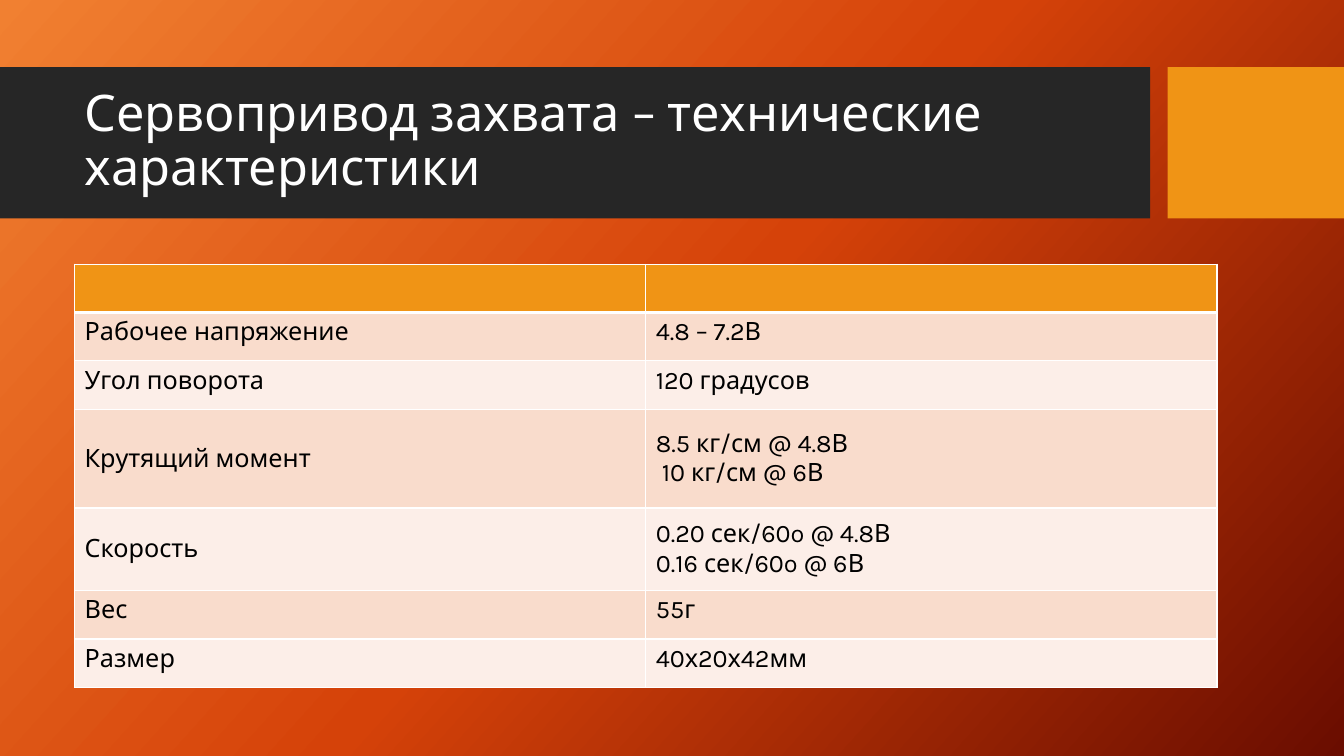
import copy
from dataclasses import dataclass

import lxml.etree
import pptx
import pptx.dml.color
import pptx.enum.shapes
import pptx.enum.text
import pptx.oxml.ns
import pptx.util

COLS, ROWS = 160, 90
FONT = "Karla"
COLORS = {
    "glow": "F18031", "flame": "D54209", "ember": "6A0D00",
    "dark": "262626", "accent": "F09415", "white": "FFFFFF", "black": "000000",
    "odd": "F9DCCC", "even": "FCEEE8",
}
MIDDLE = pptx.enum.text.MSO_ANCHOR.MIDDLE
TOP = pptx.enum.text.MSO_ANCHOR.TOP


@dataclass(frozen=True)
class Box:
    col: float
    row: float
    cols: float
    rows: float


@dataclass(frozen=True)
class Panel:
    box: Box
    color: str


@dataclass(frozen=True)
class Spec:
    cells: tuple[str, str]
    rows: float = 5.76
    anchor: pptx.enum.text.MSO_ANCHOR = TOP


PANELS = [
    Panel(Box(0, 8, 136.92, 18), "dark"),
    Panel(Box(139, 8, 21, 18), "accent"),
]
TITLE = "Сервопривод захвата – технические характеристики"
TITLE_BOX = Box(8.88, 9.84, 126.12, 14.16)
TABLE_BOX = Box(8.88, 31.44, 136, 50.4)
SPECS = [
    Spec(("", "")),
    Spec(("Рабочее напряжение", "4.8 – 7.2В")),
    Spec(("Угол поворота", "120 градусов")),
    Spec(("Крутящий момент", "8.5 кг/см @ 4.8В\n 10 кг/см @ 6В"), 11.76, MIDDLE),
    Spec(("Скорость", "0.20 сек/60º @ 4.8В\n0.16 сек/60º @ 6В"), 9.84, MIDDLE),
    Spec(("Вес", "55г")),
    Spec(("Размер", "40х20х42мм")),
]

prs = pptx.Presentation()
prs.slide_width = pptx.util.Inches(13.33)
prs.slide_height = pptx.util.Inches(7.5)


def rgb(name: str) -> pptx.dml.color.RGBColor:
    return pptx.dml.color.RGBColor.from_string(COLORS[name])


def across(cols: float) -> int:
    return round(prs.slide_width * cols / COLS)


def down(rows: float) -> int:
    return round(prs.slide_height * rows / ROWS)


def place(box: Box) -> tuple[int, int, int, int]:
    return across(box.col), down(box.row), across(box.cols), down(box.rows)


def style(p, size: float, color: str) -> None:
    p.font.name = FONT
    p.font.size = pptx.util.Pt(size)
    p.font.color.rgb = rgb(color)


def paint_background(s) -> None:
    fill = s.background.fill
    fill.gradient()
    fill.gradient_angle = 360 - 42
    stops = s.element.find(".//" + pptx.oxml.ns.qn("a:gsLst"))
    stops.insert(1, copy.deepcopy(stops[0]))
    for stop, position, color in zip(fill.gradient_stops, (0, 0.5, 1), ("glow", "flame", "ember")):
        stop.position = position
        stop.color.rgb = rgb(color)


def add_panel(s, panel: Panel) -> None:
    sp = s.shapes.add_shape(pptx.enum.shapes.MSO_SHAPE.RECTANGLE, *place(panel.box))
    sp.shadow.inherit = False
    sp.fill.solid()
    sp.fill.fore_color.rgb = rgb(panel.color)
    sp.line.fill.background()


def add_title(s) -> None:
    tf = s.shapes.add_textbox(*place(TITLE_BOX)).text_frame
    tf.word_wrap = True
    tf.vertical_anchor = MIDDLE
    p = tf.paragraphs[0]
    p.text = TITLE
    p.line_spacing = 0.9
    style(p, 36, "white")


def add_borders(cell, widths: dict[str, float]) -> None:
    tc_pr = cell._tc.get_or_add_tcPr()
    for side, width in widths.items():
        ln = lxml.etree.SubElement(tc_pr, pptx.oxml.ns.qn(f"a:ln{side}"), w=str(pptx.util.Pt(width)))
        fill = lxml.etree.SubElement(ln, pptx.oxml.ns.qn("a:solidFill"))
        lxml.etree.SubElement(fill, pptx.oxml.ns.qn("a:srgbClr"), val=COLORS["white"])


def add_specs(s) -> None:
    table = s.shapes.add_table(len(SPECS), 2, *place(TABLE_BOX)).table
    for column in table.columns:
        column.width = across(TABLE_BOX.cols / 2)
    for i, spec in enumerate(SPECS):
        table.rows[i].height = down(spec.rows)
        color = "accent" if i == 0 else "odd" if i % 2 else "even"
        widths = {"L": 1, "R": 1, "T": 3 if i == 1 else 1, "B": 3 if i == 0 else 1}
        for j, text in enumerate(spec.cells):
            cell = table.cell(i, j)
            add_borders(cell, widths)
            cell.fill.solid()
            cell.fill.fore_color.rgb = rgb(color)
            cell.vertical_anchor = spec.anchor
            cell.text = text
            for p in cell.text_frame.paragraphs:
                style(p, 18, "black")


def main() -> None:
    s = prs.slides.add_slide(prs.slide_layouts[6])
    paint_background(s)
    for panel in PANELS:
        add_panel(s, panel)
    add_title(s)
    add_specs(s)
    prs.save("out.pptx")


if __name__ == "__main__":
    main()
